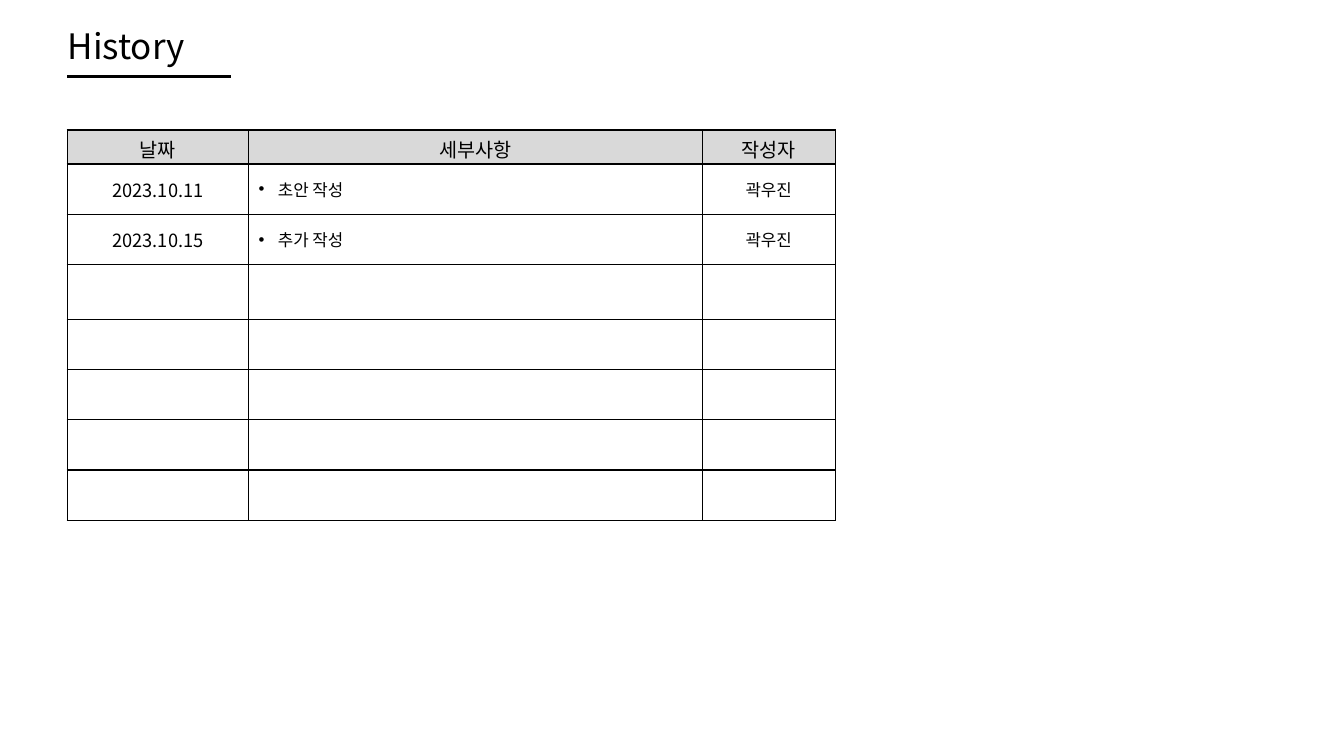
from dataclasses import dataclass

from lxml.etree import SubElement
from pptx import Presentation
from pptx.dml.color import RGBColor
from pptx.enum.shapes import MSO_CONNECTOR
from pptx.enum.text import MSO_ANCHOR, PP_ALIGN
from pptx.oxml import parse_xml
from pptx.oxml.ns import nsdecls, qn
from pptx.util import Inches, Pt


@dataclass(frozen=True)
class Theme:
    font: str = "Noto Sans CJK KR"
    ink: RGBColor = RGBColor(0x00, 0x00, 0x00)
    header: RGBColor = RGBColor(0xD9, 0xD9, 0xD9)
    title_size: Pt = Pt(25)
    header_size: Pt = Pt(14)
    date_size: Pt = Pt(13)
    body_size: Pt = Pt(12)
    rule: Pt = Pt(1.75)
    border: Pt = Pt(1)


def apply(target, values):
    for name, value in values.items():
        setattr(target, name, value)


class SlideBuilder:
    """Draws on one slide; all lengths are percentages of its size."""

    def __init__(self, prs, theme):
        self.prs, self.theme = prs, theme
        self.s = prs.slides.add_slide(prs.slide_layouts[5])

    def x(self, share):
        return round(self.prs.slide_width * share / 100)

    def y(self, share):
        return round(self.prs.slide_height * share / 100)

    def add_text(self, tf, text, size, align=PP_ALIGN.LEFT):
        p = tf.paragraphs[0]
        p.alignment = align
        r = p.add_run()
        r.text = text
        apply(r.font, {"name": self.theme.font, "size": size, "bold": False})
        r.font.color.rgb = self.theme.ink
        SubElement(r.font._element, qn("a:ea"), typeface=self.theme.font)
        return p

    def title(self, text, left, top, width, height):
        sp = self.s.shapes.title
        apply(sp, {"left": self.x(left), "top": self.y(top),
                   "width": self.x(width), "height": self.y(height)})
        apply(sp.text_frame, {
            "margin_left": Inches(0.07), "margin_top": 0, "margin_bottom": 0,
            "vertical_anchor": MSO_ANCHOR.TOP, "word_wrap": True})
        p = self.add_text(sp.text_frame, text, self.theme.title_size)
        apply(p, {"line_spacing": 1.0, "space_before": Pt(0)})

    def rule(self, left, right, top):
        line = self.s.shapes.add_connector(
            MSO_CONNECTOR.STRAIGHT, self.x(left), self.y(top), self.x(right), self.y(top))
        line.line.color.rgb = self.theme.ink
        line.line.width = self.theme.rule
        SubElement(line._element.spPr, qn("a:effectLst"))

    def outline(self, cell):
        """Put a solid border on all four sides of a cell."""
        tc_pr = cell._tc.get_or_add_tcPr()
        for i, side in enumerate("LRTB"):
            tc_pr.insert(i, parse_xml(
                f'<a:ln{side} {nsdecls("a")} w="{self.theme.border}"><a:solidFill>'
                f'<a:srgbClr val="{self.theme.ink}"/></a:solidFill></a:ln{side}>'))

    def bullet(self, p):
        p_pr = p._p.get_or_add_pPr()
        indent = Inches(0.19)
        p_pr.set("marL", str(indent))
        p_pr.set("indent", str(-indent))
        SubElement(p_pr, qn("a:buFont"), typeface="Arial")
        SubElement(p_pr, qn("a:buChar"), char="•")

    def history_table(self, left, top, col_widths, row_heights, header, entries):
        table = self.s.shapes.add_table(
            len(row_heights), len(col_widths), self.x(left), self.y(top),
            self.x(sum(col_widths)), self.y(sum(row_heights))).table
        apply(table, {"first_row": False, "horz_banding": False})
        for col, width in zip(table.columns, col_widths):
            col.width = self.x(width)
        for row, height in zip(table.rows, row_heights):
            row.height = self.y(height)
        for cell in table.iter_cells():
            cell.fill.background()
            self.outline(cell)
            cell.vertical_anchor = MSO_ANCHOR.MIDDLE

        for c, text in enumerate(header):
            cell = table.cell(0, c)
            apply(cell, {"vertical_anchor": MSO_ANCHOR.TOP,
                         "margin_top": Inches(0.05), "margin_bottom": 0})
            cell.fill.solid()
            cell.fill.fore_color.rgb = self.theme.header
            self.add_text(cell.text_frame, text, self.theme.header_size, PP_ALIGN.CENTER)

        formats = ((self.theme.date_size, PP_ALIGN.CENTER),
                   (self.theme.body_size, PP_ALIGN.LEFT),
                   (self.theme.body_size, PP_ALIGN.CENTER))
        for r, entry in enumerate(entries, 1):
            for c, (text, style) in enumerate(zip(entry, formats)):
                p = self.add_text(table.cell(r, c).text_frame, text, *style)
                if style[1] == PP_ALIGN.LEFT:
                    self.bullet(p)


def main():
    prs = Presentation()
    apply(prs, {"slide_width": Inches(13.33), "slide_height": Inches(7.5)})
    page = SlideBuilder(prs, Theme())
    margin = 5
    page.title("History", left=4.5, top=3.2, width=34.73, height=6.93)
    page.rule(margin, 17.2, top=10.13)
    page.history_table(
        margin, 17.2,
        col_widths=(13.5, 33.75, 9.9),
        row_heights=(4.5, *[6.65] * 2, 7.25, *[6.65] * 4),
        header=("날짜", "세부사항", "작성자"),
        entries=(("2023.10.11", "초안 작성", "곽우진"),
                 ("2023.10.15", "추가 작성", "곽우진")))
    prs.save("out.pptx")


if __name__ == "__main__":
    main()
